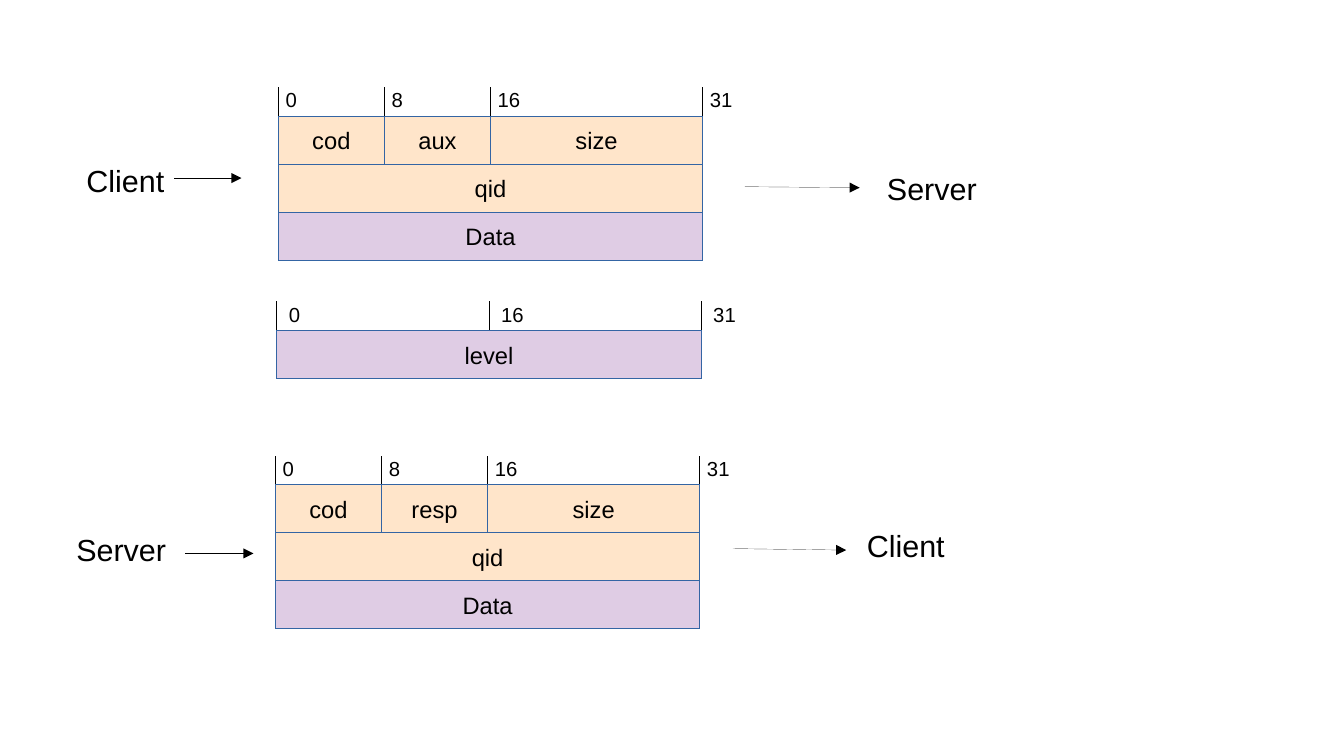
from dataclasses import dataclass
from math import ceil

from lxml import etree
from pptx import Presentation
from pptx.dml.color import RGBColor
from pptx.enum.shapes import MSO_CONNECTOR, MSO_SHAPE
from pptx.enum.text import MSO_ANCHOR, MSO_AUTO_SIZE, PP_ALIGN
from pptx.oxml.ns import qn
from pptx.util import Cm, Pt

RECT, STRAIGHT = MSO_SHAPE.RECTANGLE, MSO_CONNECTOR.STRAIGHT
MIDDLE, TOP = MSO_ANCHOR.MIDDLE, MSO_ANCHOR.TOP
CENTER, LEFT = PP_ALIGN.CENTER, PP_ALIGN.LEFT
FIT = MSO_AUTO_SIZE.SHAPE_TO_FIT_TEXT

BLACK, BLUE, HEADER, PAYLOAD = "000000", "3465A4", "FFE5CA", "DFCCE4"
BYTE, ROW, TICK = 2.21, 1.0, 0.6  # byte width, row height, tick height in cm
HAIRLINE = Pt(0.01)  # a width of zero would be dropped in favour of the theme's


@dataclass
class Field:
    name: str
    row: int
    start: int  # first byte
    size: int   # number of bytes
    fill: str = HEADER


@dataclass
class Packet:
    x: float
    y: float
    bits: list[int]
    fields: list[Field]
    label_dx: float = -0.1


@dataclass
class Endpoint:
    name: str
    x: float
    y: float
    w: float


@dataclass
class Arrow:
    x1: float
    y1: float
    x2: float
    y2: float


def message(second: str) -> list[Field]:
    return [Field("cod", 0, 0, 1), Field(second, 0, 1, 1), Field("size", 0, 2, 2),
            Field("qid", 1, 0, 4), Field("Data", 2, 0, 4, PAYLOAD)]


PACKETS = [
    Packet(5.8, 2.42, [0, 8, 16, 31], message("aux")),
    Packet(5.77, 6.89, [0, 16, 31], [Field("level", 0, 0, 4, PAYLOAD)], 0),
    Packet(5.74, 10.1, [0, 8, 16, 31], message("resp")),
]
ENDPOINTS = [
    Endpoint("Client", 1.55, 3.25, 2.15), Endpoint("Server", 18.23, 3.42, 2.42),
    Endpoint("Server", 1.34, 10.94, 2.42), Endpoint("Client", 17.81, 10.85, 2.15),
]
ARROWS = [
    Arrow(3.63, 3.71, 5.03, 3.71), Arrow(15.52, 3.89, 17.91, 3.91),
    Arrow(3.86, 11.53, 5.28, 11.53), Arrow(15.27, 11.43, 17.63, 11.46),
]


def rgb(value: str) -> RGBColor:
    return RGBColor.from_string(value)


def write(sp, text: str, size: int, align, anchor) -> None:
    tf = sp.text_frame
    tf.word_wrap, tf.vertical_anchor = False, anchor
    p = tf.paragraphs[0]
    p.alignment = align
    r = p.add_run()
    r.text = text
    for name, value in {"name": "Arial", "size": Pt(size)}.items():
        setattr(r.font, name, value)
    r.font.color.rgb = rgb(BLACK)


def add_label(s, text: str, x: float, y: float, w: float, h: float, size: int) -> None:
    sp = s.shapes.add_textbox(Cm(x), Cm(y), Cm(w), Cm(h))
    write(sp, text, size, LEFT, TOP)
    sp.text_frame.auto_size = FIT


def add_line(s, x1: float, y1: float, x2: float, y2: float, arrow: bool = False) -> None:
    cn = s.shapes.add_connector(STRAIGHT, Cm(x1), Cm(y1), Cm(x2), Cm(y2))
    cn.line.color.rgb, cn.line.width = rgb(BLACK), HAIRLINE
    if arrow:
        etree.SubElement(cn.line._get_or_add_ln(), qn("a:tailEnd"), type="triangle")
    etree.SubElement(cn._element.spPr, qn("a:effectLst"))


def add_field(s, packet: Packet, field: Field) -> None:
    sp = s.shapes.add_shape(RECT, Cm(packet.x + field.start * BYTE),
                            Cm(packet.y + field.row * ROW), Cm(field.size * BYTE), Cm(ROW))
    sp.shadow.inherit = False
    sp.fill.solid()
    sp.fill.fore_color.rgb = rgb(field.fill)
    sp.line.color.rgb, sp.line.width = rgb(BLUE), HAIRLINE
    write(sp, field.name, 14, CENTER, MIDDLE)


def add_packet(s, packet: Packet) -> None:
    # Bit ruler
    for bit in packet.bits:
        x = packet.x + ceil(bit / 8) * BYTE
        add_line(s, x, packet.y, x, packet.y - TICK)
        add_label(s, str(bit), x + packet.label_dx, packet.y - 0.72,
                  0.75 if bit < 10 else 1.0, 0.73, 12)
    # Fields
    for field in packet.fields:
        add_field(s, packet, field)


def main() -> None:
    prs = Presentation()
    prs.slide_width, prs.slide_height = Cm(28), Cm(15.75)
    s = prs.slides.add_slide(prs.slide_layouts[6])
    for packet in PACKETS:
        add_packet(s, packet)
    # Senders and receivers
    for end in ENDPOINTS:
        add_label(s, end.name, end.x, end.y, end.w, 0.97, 18)
    for a in ARROWS:
        add_line(s, a.x1, a.y1, a.x2, a.y2, arrow=True)
    prs.save("out.pptx")


if __name__ == "__main__":
    main()
